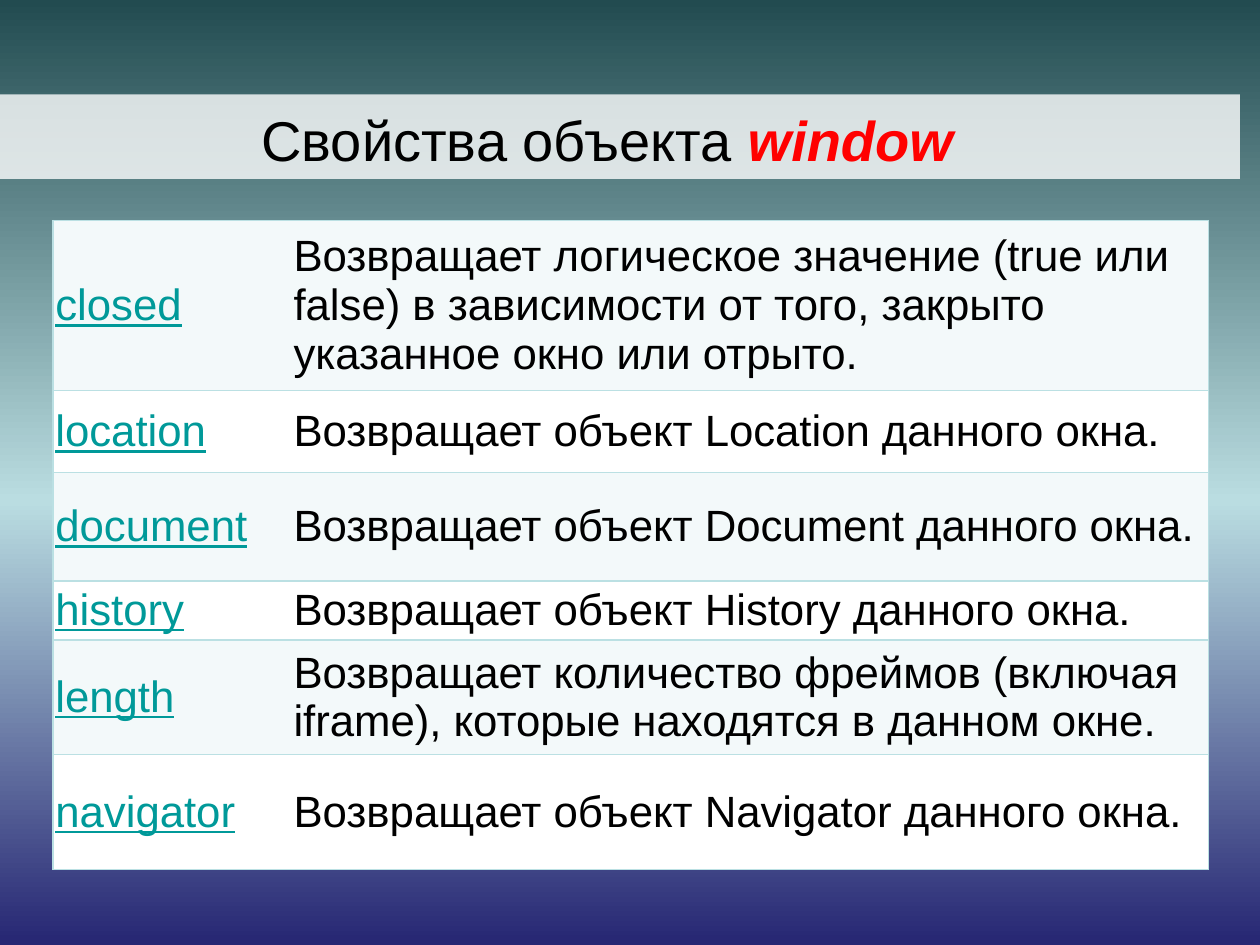
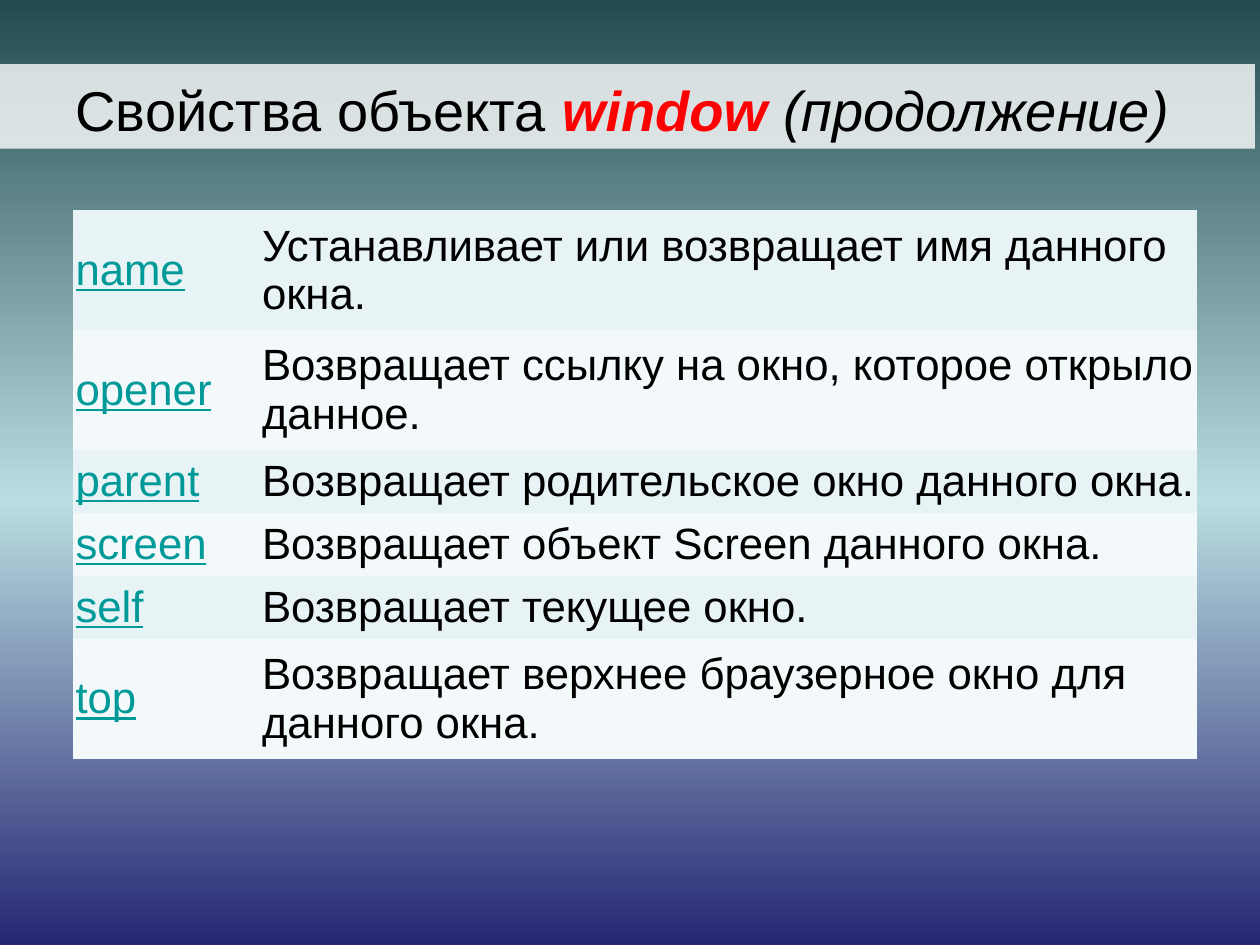
from copy import deepcopy

from lxml import etree
from pptx import Presentation
from pptx.dml.color import RGBColor
from pptx.enum.shapes import MSO_SHAPE
from pptx.enum.text import MSO_ANCHOR, PP_ALIGN
from pptx.oxml.ns import qn
from pptx.util import Inches, Pt

RECTANGLE = MSO_SHAPE.RECTANGLE
TOP, MIDDLE = MSO_ANCHOR.TOP, MSO_ANCHOR.MIDDLE
CENTER = PP_ALIGN.CENTER

# Content: title runs, then (property, description, row height)
HEADING = "Свойства объекта "
SLIDES = [
    {
        "title": [(HEADING, {}), ("window", {"color": "FF0000", "bold": True, "italic": True})],
        "band_at": (-0.2, 0.75),
        "table_at": (0.42, 1.75),
        "columns": (1.89, 7.28),
        "row_fills": ("F3F9FA", "FFFFFF"),
        "border": "BBE0E3",
        "properties": [
            ("closed", "Возвращает логическое значение (true или false) в зависимости "
                       "от того, закрыто указанное окно или отрыто.", 1.35),
            ("location", "Возвращает объект Location данного окна.", 0.65),
            ("document", "Возвращает объект Document данного окна.", 0.86),
            ("history", "Возвращает объект History данного окна.", 0.47),
            ("length", "Возвращает количество фреймов (включая iframe), "
                       "которые находятся в данном окне.", 0.91),
            ("navigator", "Возвращает объект Navigator данного окна.", 0.91),
        ],
    },
    {
        "title": [(HEADING, {}), ("window ", {"color": "FF0000", "bold": True, "italic": True}),
                  ("(продолжение)", {"italic": True})],
        "band_at": (-0.08, 0.51),
        "table_at": (0.58, 1.67),
        "columns": (1.48, 7.44),
        "row_fills": ("E7F3F4", "F3F9FA"),
        "border": None,
        "properties": [
            ("name", "Устанавливает или возвращает имя данного окна.", 0.95),
            ("opener", "Возвращает ссылку на окно, которое открыло данное.", 0.95),
            ("parent", "Возвращает родительское окно данного окна.", 0.5),
            ("screen", "Возвращает объект Screen данного окна.", 0.5),
            ("self", "Возвращает текущее окно.", 0.5),
            ("top", "Возвращает верхнее браузерное окно для данного окна.", 0.95),
        ],
    },
]

# Shared look
FONT = "Arial"
BLACK, WHITE, LINK = "000000", "FFFFFF", "009999"
BACKGROUND = [(0, "224B50"), (0.53, "BADDE1"), (1, "262673")]
BAND_SIZE = (10.04, 0.67)
BAND_OPACITY = 80
CELL_MARGIN = 0.02
PLAIN_TABLE_STYLE = "{2D5ABB26-0587-4C30-8999-92F81FD0307C}"


def rgb(value):
    return RGBColor.from_string(value)


def add_text(paragraph, text, size=25, color=BLACK, bold=False, italic=False, underline=False):
    run = paragraph.add_run()
    run.text = text
    font = run.font
    font.name, font.size = FONT, Pt(size)
    font.bold, font.italic, font.underline = bold, italic, underline
    font.color.rgb = rgb(color)


def set_background(slide):
    fill = slide.background.fill
    fill.gradient()
    fill.gradient_angle = 270
    stop_list = slide.element.find(".//" + qn("a:gsLst"))
    stop_list.append(deepcopy(stop_list[0]))
    for stop, (position, color) in zip(fill.gradient_stops, BACKGROUND):
        stop.position = position
        stop.color.rgb = rgb(color)


def add_title_band(slide, title, position):
    band = slide.shapes.add_shape(RECTANGLE, *map(Inches, position + BAND_SIZE))
    band.shadow.inherit = False
    band.line.fill.background()
    band.fill.solid()
    band.fill.fore_color.rgb = rgb(WHITE)
    white = band.fill._xPr.find(".//" + qn("a:srgbClr"))
    etree.SubElement(white, qn("a:alpha"), val=str(BAND_OPACITY * 1000))
    frame = band.text_frame
    frame.word_wrap = True
    frame.vertical_anchor = TOP
    frame.margin_top = Inches(0.09)
    paragraph = frame.paragraphs[0]
    paragraph.alignment = CENTER
    for text, style in title:
        add_text(paragraph, text, size=32, **style)


def add_borders(cell, color, sides):
    """Put the cell's lines ahead of its fill, as the schema wants."""
    properties = cell._tc.get_or_add_tcPr()
    for index, side in enumerate(sides):
        line = etree.Element(qn("a:ln" + side), w=str(Pt(1)))
        solid = etree.SubElement(line, qn("a:solidFill"))
        etree.SubElement(solid, qn("a:srgbClr"), val=color)
        properties.insert(index, line)


def add_property_table(slide, content):
    properties, columns = content["properties"], content["columns"]
    height = sum(row_height for _, _, row_height in properties)
    frame = slide.shapes.add_table(
        len(properties), len(columns),
        *map(Inches, content["table_at"] + (sum(columns), height)))
    table = frame.table
    table.first_row = table.horz_banding = False
    table._tbl.tblPr.find(qn("a:tableStyleId")).text = PLAIN_TABLE_STYLE
    for column, width in zip(table.columns, columns):
        column.width = Inches(width)

    for index, (name, description, row_height) in enumerate(properties):
        row = table.rows[index]
        row.height = Inches(row_height)
        row_fill = content["row_fills"][index % 2]
        texts = [(name, {"color": LINK, "underline": True}, "LTB"), (description, {}, "RTB")]
        for cell, (text, style, sides) in zip(row.cells, texts):
            cell.margin_left = cell.margin_right = Inches(CELL_MARGIN)
            cell.margin_top = cell.margin_bottom = Inches(CELL_MARGIN)
            cell.vertical_anchor = MIDDLE
            cell.fill.solid()
            cell.fill.fore_color.rgb = rgb(row_fill)
            add_text(cell.text_frame.paragraphs[0], text, **style)
            if content["border"]:
                add_borders(cell, content["border"], sides)


def main():
    deck = Presentation()
    deck.slide_width, deck.slide_height = Inches(10), Inches(7.5)
    for content in SLIDES:
        slide = deck.slides.add_slide(deck.slide_layouts[6])
        set_background(slide)
        add_title_band(slide, content["title"], content["band_at"])
        add_property_table(slide, content)
    deck.save("out.pptx")


if __name__ == "__main__":
    main()
